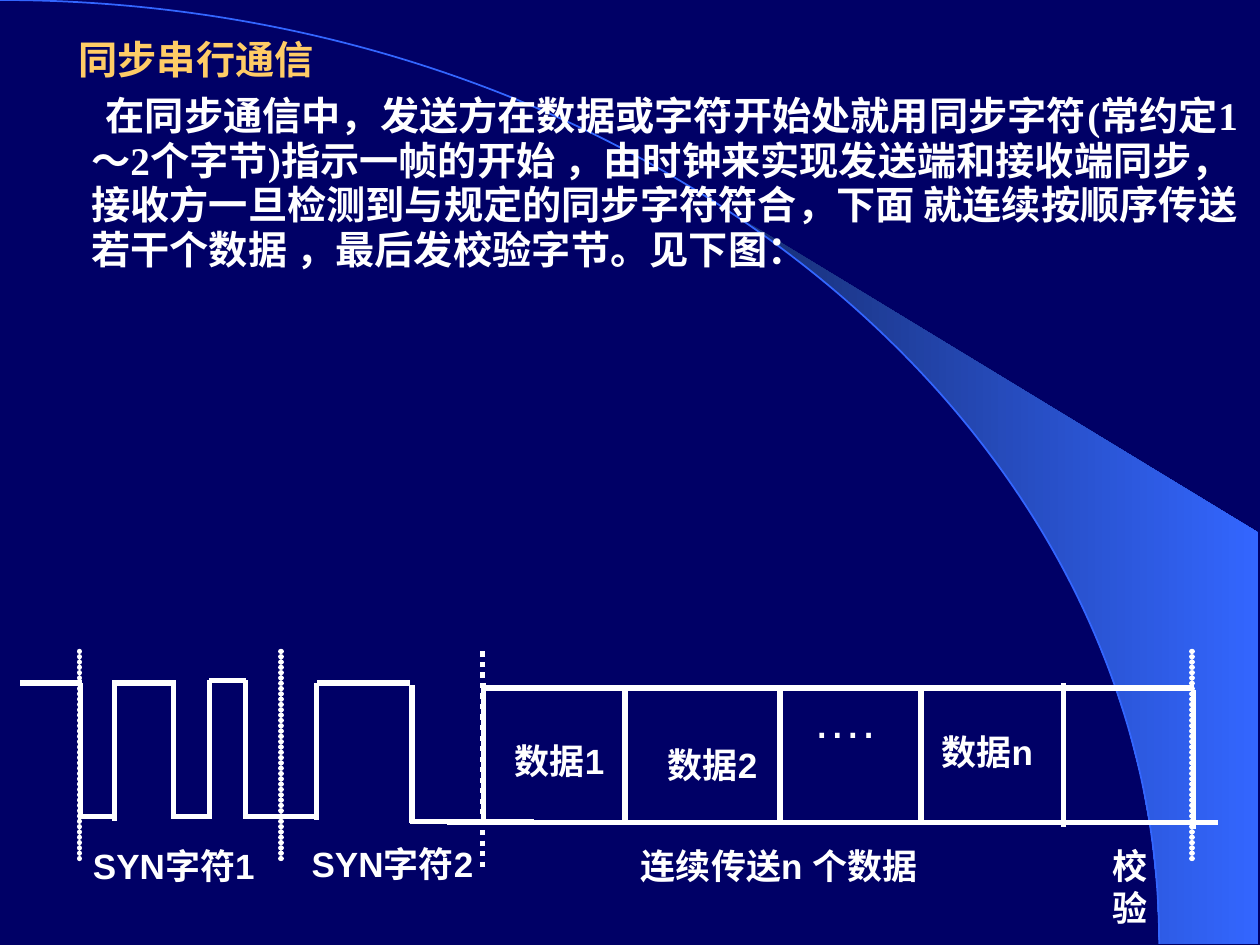
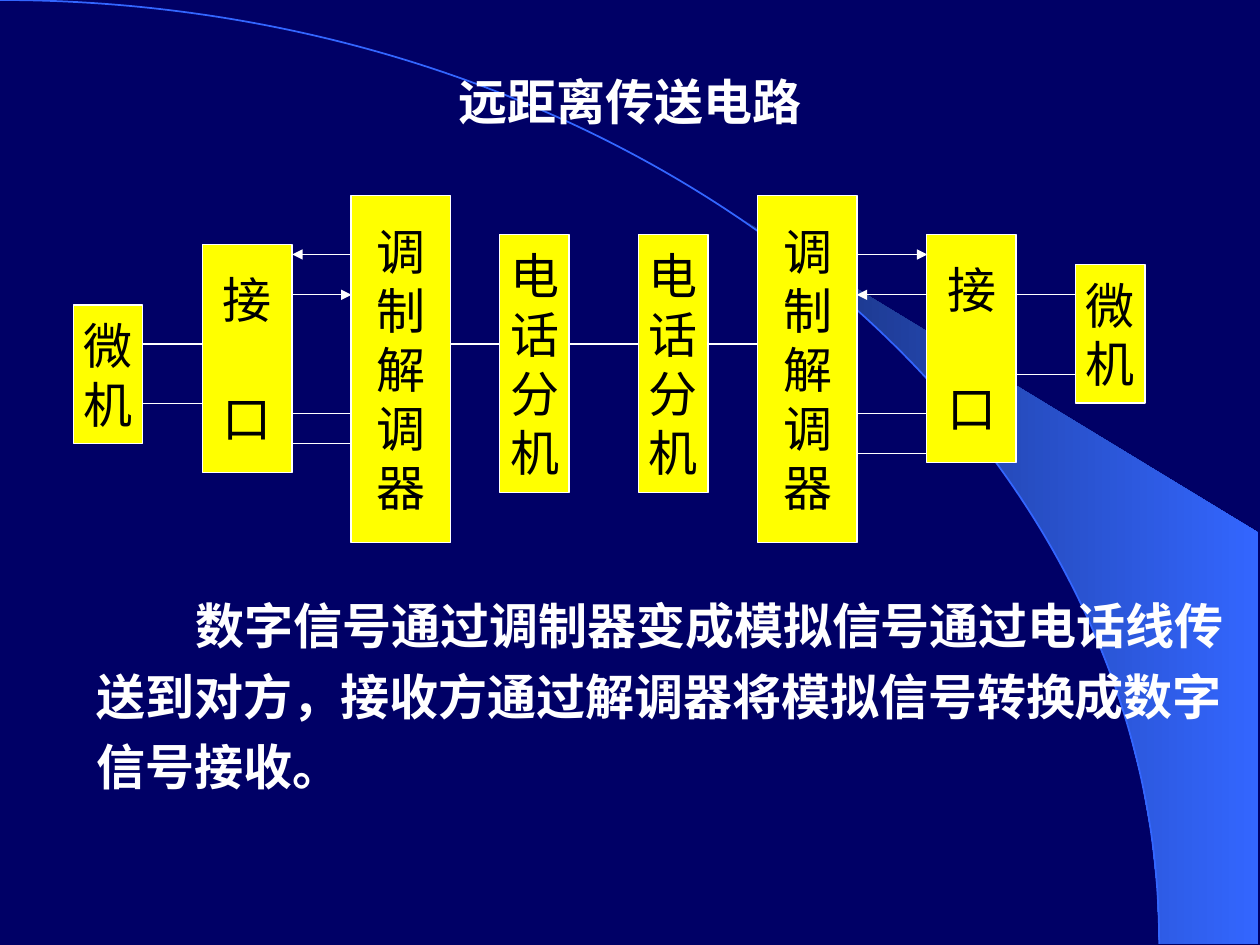
from dataclasses import dataclass
from math import cos, radians, sin

from lxml.etree import SubElement as Sub
from pptx import Presentation
from pptx.dml.color import RGBColor as Rgb
from pptx.enum.dml import MSO_LINE as Dash
from pptx.enum.shapes import MSO_CONNECTOR as Link, MSO_SHAPE as Form
from pptx.enum.text import MSO_ANCHOR as Anchor, MSO_AUTO_SIZE as Fit, PP_ALIGN as Align
from pptx.oxml.ns import qn
from pptx.util import Inches, Pt


@dataclass(frozen=True)
class Theme:
    navy: str = "000066"
    deep: str = "182F76"
    blue: str = "3366FF"
    gold: str = "FFCC66"
    white: str = "FFFFFF"
    black: str = "000000"
    yellow: str = "FFFF00"
    sans: str = "Arial"
    serif: str = "Times New Roman"
    body: float = 22.4
    label: float = 20
    large: float = 28
    thin: float = 0.75
    arc: float = 1
    thick: float = 3


T = Theme()

# Grid: 100 columns by 75 rows of square cells
CELL = Inches(0.1)


def rule(slide, ends, width, dash=None, beads=False, arrow=False):
    """Draw a white line between two grid points."""
    line = slide.shapes.add_connector(Link.STRAIGHT, *[int(n * CELL) for n in ends])
    line.line.width = Pt(width)
    line.line.color.rgb = Rgb.from_string(T.white)
    if dash:
        line.line.dash_style = dash
    pen = line.line._get_or_add_ln()
    if beads:
        pen.set("cap", "rnd")
        Sub(Sub(pen, qn("a:custDash")), qn("a:ds"), d="100000", sp="1000")
    if arrow:
        Sub(pen, qn("a:tailEnd"), type="triangle")
    Sub(line.element.spPr, qn("a:effectLst"))


def write(para, text, size, face=T.sans, hue=T.white, bold=True):
    """Add one run to a paragraph."""
    run = para.add_run()
    run.text = text
    run.font.size = Pt(size)
    run.font.name = face
    run.font.bold = bold
    run.font.color.rgb = Rgb.from_string(hue)


deck = Presentation()
deck.slide_width, deck.slide_height = 100 * CELL, 75 * CELL

# Shared backdrop: navy ground, quarter ellipse and gradient wedge
ground = deck.slide_master.background.fill
ground.solid()
ground.fore_color.rgb = Rgb.from_string(T.navy)
wide, tall = int(92 * CELL), int(74.9 * CELL)
turns = [radians(40 + 50 * i / 15) for i in range(16)]
rim = [(int(wide * sin(t)), int(tall * (1 - cos(t)))) for t in turns]
edge = [(int(99.9 * CELL), int(y * CELL)) for y in (74.9, 42.3)]

pages = [deck.slides.add_slide(deck.slide_layouts[6]) for _ in range(2)]
for page in pages:
    pen = page.shapes.build_freeform(*rim[0])
    pen.add_line_segments(rim[1:] + edge, close=True)
    wedge = pen.convert_to_shape()
    wedge.fill.gradient()
    wedge.fill.gradient_angle = 0
    for stop, hue in zip(wedge.fill.gradient_stops, (T.deep, T.blue)):
        stop.color.rgb = Rgb.from_string(hue)
    wedge.line.fill.background()

    pen = page.shapes.build_freeform(0, 0)
    pen.add_line_segments([(wide, tall)], close=False)
    arc = pen.convert_to_shape()
    arc.fill.background()
    arc.line.width = Pt(T.arc)
    arc.line.color.rgb = Rgb.from_string(T.blue)
    wedge.shadow.inherit = arc.shadow.inherit = False

    # Bend the straight stroke into a quarter ellipse
    track = arc.element.find(".//" + qn("a:path"))
    track.remove(track.find(qn("a:lnTo")))
    bend = Sub(track, qn("a:cubicBezTo"))
    for x, y in ((0.55 * wide, 0), (wide, 0.45 * tall), (wide, tall)):
        Sub(bend, qn("a:pt"), x=str(int(x)), y=str(int(y)))

sync, remote = pages

# Slide 1: heading and explanation
intro = [
    (0.7, -1, 0, [("同步串行通信", T.serif, T.gold)]),
    (0.95, 1.15, 8, [
        ("在同步通信中，发送方在数据或字符开始处就用同步字符(常约定1～2个字节)"
         "指示一帧的开始 ，由时钟来实现发送端和接收端同步，接收方一旦检测到与规定的"
         "同步字符符合，下面 就连续按顺序传送若干个数据 ，最后发", T.serif, T.white),
        ("校", T.sans, T.white),
        ("验字节。见下图：", T.serif, T.white)]),
]
box = sync.shapes.add_textbox(*[int(n * CELL) for n in (2.5, 3.3, 97.5, 23.3)])
frame = box.text_frame
frame.word_wrap = True
for i, (lead, dent, gap, runs) in enumerate(intro):
    para = frame.add_paragraph() if i else frame.paragraphs[0]
    para.line_spacing = lead
    para.space_before = Pt(gap)
    props = para._p.get_or_add_pPr()
    props.set("marL", str(int(3.75 * CELL)))
    props.set("indent", str(int(dent * CELL)))
    for text, face, hue in runs:
        write(para, text, T.body, face, hue)

# Slide 1: character limits
for x in (6.3, 22.3, 94.6):
    rule(sync, (x, 51.7, x, 68.3), T.thick, beads=True)
rule(sync, (38.3, 51.7, 38.3, 69.2), T.thick, Dash.ROUND_DOT)

# Slide 1: level parts of the signal (left, right, height)
for x, end, y in [
        (1.6, 6.5, 54.2), (6.3, 9.1, 64.8), (9.1, 14, 54.2), (13.8, 16.6, 64.8),
        (16.6, 19.5, 54), (19.7, 22.5, 64.8), (22.3, 25.1, 64.8), (25.2, 32.5, 54.2),
        (32.5, 42.4, 65.2), (38.3, 94.8, 54.6), (35.5, 96.7, 65.3)]:
    rule(sync, (x, y, end, y), T.thick)

# Slide 1: edges of the signal and data cells (place, top, bottom)
for x, top, low in [
        (6.4, 54.2, 65), (9.1, 54, 65.2), (13.8, 54, 65), (16.6, 54, 65),
        (19.5, 54, 65), (25.1, 54.2, 65.1), (32.7, 54.4, 65.3),
        (38.4, 54.2, 65.2), (49.6, 54.4, 65.4), (61.9, 54.4, 65.4),
        (73.1, 54.4, 65.4), (84.4, 54.2, 65.6), (94.7, 54.8, 65.8)]:
    rule(sync, (x, top, x, low), T.thick)

# Labels of both slides (box, text, size, bold)
for page, spot, text, size, bold in [
        (sync, (-4.2, 66.5, 36, 4.4), "SYN字符1", T.label, True),
        (sync, (8.95, 66.35, 44.4, 4.4), "SYN字符2", T.label, True),
        (sync, (39.25, 58.2, 10.3, 4.4), "数据1", T.label, True),
        (sync, (50.55, 58.5, 12, 4.4), "数据2", T.label, True),
        (sync, (58.4, 54.2, 17.2, 5.7), "….", T.large, False),
        (sync, (73.4, 57.5, 9.9, 4.4), "数据n", T.label, True),
        (sync, (40.2, 66.5, 43.3, 4.4), "连续传送n 个数据", T.label, True),
        (sync, (85.9, 66.5, 7.5, 4.4), "校验", T.label, True),
        (remote, (32.5, 5.2, 35, 5.7), "远距离传送电路", T.large, True)]:
    box = page.shapes.add_textbox(*[int(n * CELL) for n in spot])
    box.text_frame.auto_size = Fit.SHAPE_TO_FIT_TEXT
    box.text_frame.word_wrap = spot[2] > 10
    para = box.text_frame.paragraphs[0]
    para.alignment = Align.CENTER
    write(para, text, size, bold=bold)

# Slide 2: units of the circuit, one letter a line (box, text, gap in points)
for spot, text, gap in [
        ((5.82, 24.2, 5.5, 11), "微机", 0),
        ((16.07, 19.4, 7.1, 18.1), "接口", 34),
        ((27.87, 15.5, 7.88, 27.55), "调制解调器", 0),
        ((39.67, 18.6, 5.5, 20.5), "电话分机", 0),
        ((50.7, 18.6, 5.5, 20.5), "电话分机", 0),
        ((60.15, 15.5, 7.88, 27.55), "调制解调器", 0),
        ((73.55, 18.6, 7.1, 18.1), "接口", 34),
        ((85.37, 21, 5.5, 11), "微机", 0)]:
    unit = remote.shapes.add_shape(Form.RECTANGLE, *[int(n * CELL) for n in spot])
    unit.shadow.inherit = False
    unit.fill.solid()
    unit.fill.fore_color.rgb = Rgb.from_string(T.yellow)
    unit.line.width = Pt(T.thin)
    unit.line.color.rgb = Rgb.from_string(T.white)
    frame = unit.text_frame
    frame.word_wrap = False
    frame.vertical_anchor = Anchor.MIDDLE
    for i, sign in enumerate(text):
        para = frame.add_paragraph() if i else frame.paragraphs[0]
        para.alignment = Align.CENTER
        para.space_before = Pt(gap if i else 0)
        write(para, sign, T.large, hue=T.black, bold=False)

# Slide 2: wires between units (from, to, heights)
for x, end, rows in [
        (11.3, 16.1, (27.3, 32)), (23.2, 27.9, (32.8, 35.2)),
        (35.7, 39.7, (27.3,)), (45.2, 50.7, (27.3,)), (56.2, 60.2, (27.3,)),
        (68, 73.6, (32.8, 36)), (80.6, 85.4, (23.4, 29.7))]:
    for y in rows:
        rule(remote, (x, y, end, y), T.thin)
for x, end, y in [(27.9, 23.2, 20.2), (23.2, 27.9, 23.4),
                  (68, 73.6, 20.2), (73.6, 68, 23.4)]:
    rule(remote, (x, y, end, y), T.thin, arrow=True)

# Slide 2: explanation
box = remote.shapes.add_textbox(*[int(n * CELL) for n in (6.67, 45.83, 93.3, 17.8)])
box.text_frame.word_wrap = True
para = box.text_frame.paragraphs[0]
para.line_spacing = 1.2
para._p.get_or_add_pPr().set("indent", str(int(7.9 * CELL)))
write(para, "数字信号通过调制器变成模拟信号通过电话线传送到对方，"
      "接收方通过解调器将模拟信号转换成数字信号接收。", T.large, T.serif)

deck.save("out.pptx")
